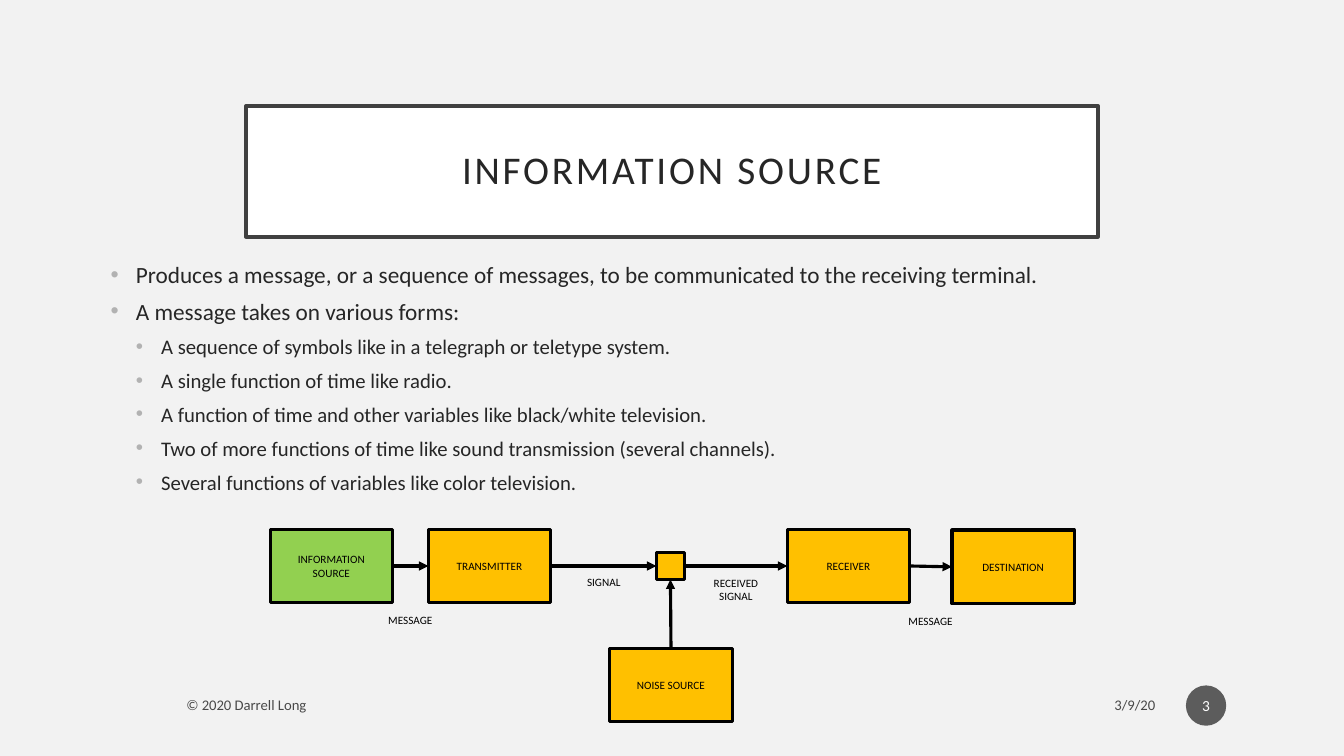
from dataclasses import dataclass

from lxml import etree
from pptx import Presentation
from pptx.dml.color import RGBColor
from pptx.enum import shapes, text
from pptx.oxml import ns
from pptx.util import Pt


@dataclass(frozen=True)
class Theme:
    font: str = "Calibri"
    back: str = "F2F2F2"
    white: str = "FFFFFF"
    black: str = "000000"
    ink: str = "262626"
    frame: str = "404040"
    dot: str = "B2B2B2"
    badge: str = "1D1D1D"
    amber: str = "FFC000"
    green: str = "92D050"
    title: float = 28
    body: tuple[float, float] = (16.6, 14.8)
    label: float = 8
    foot: float = 10.5
    page: float = 11
    line: float = 2.25


@dataclass(frozen=True)
class Box:
    x: float
    y: float
    w: float
    h: float


@dataclass(frozen=True)
class Node:
    box: Box
    words: str
    fill: str


@dataclass(frozen=True)
class Link:
    start: str
    out: int
    end: str
    into: int


T = Theme()
ALIGN, ANCHOR = text.PP_ALIGN, text.MSO_ANCHOR
KIND = shapes.MSO_SHAPE
TOP, LEFT, RIGHT, BOTTOM = 0, 1, 3, 2

BODY = [
    (0, "Produces a message, or a sequence of messages, to be communicated to the receiving terminal."),
    (0, "A message takes on various forms:"),
    (1, "A sequence of symbols like in a telegraph or teletype system."),
    (1, "A single function of time like radio."),
    (1, "A function of time and other variables like black/white television."),
    (1, "Two of more functions of time like sound transmission (several channels)."),
    (1, "Several functions of variables like color television."),
]

ROW, WIDE, HIGH = 378, 87.4, 52.6
NODES = {
    "source": Node(Box(193, ROW, WIDE, HIGH), "INFORMATION\nSOURCE", T.green),
    "sender": Node(Box(306, ROW, WIDE, HIGH), "TRANSMITTER", T.amber),
    "taker": Node(Box(562.4, ROW, WIDE, HIGH), "RECEIVER", T.amber),
    "goal": Node(Box(680, ROW + 0.6, WIDE, HIGH), "DESTINATION", T.amber),
    "noise": Node(Box(435.6, 463, WIDE, HIGH), "NOISE SOURCE", T.amber),
    "joint": Node(Box(468.8, 394.6, 20.2, 19.4), "", T.amber),
}
LINKS = [
    Link("source", RIGHT, "sender", LEFT),
    Link("sender", RIGHT, "joint", LEFT),
    Link("joint", RIGHT, "taker", LEFT),
    Link("taker", RIGHT, "goal", LEFT),
    Link("noise", TOP, "joint", BOTTOM),
]
LABELS = [
    (Box(261.4, 434.9, 63.4, 19.4), "MESSAGE"),
    (Box(633, 435.6, 63.4, 19.4), "MESSAGE"),
    (Box(399.6, 407.2, 63.4, 19.4), "SIGNAL"),
    (Box(494, 408, 63.4, 31), "RECEIVED\nSIGNAL"),
]


def rgb(code: str) -> RGBColor:
    return RGBColor.from_string(code)


def place(box: Box) -> tuple:
    return Pt(box.x), Pt(box.y), Pt(box.w), Pt(box.h)


def paint(fill, code: str, alpha: int = 100) -> None:
    """Fill with a solid colour; alpha is opacity in percent."""
    fill.solid()
    fill.fore_color.rgb = rgb(code)
    if alpha < 100:
        clr = fill._xPr.find(".//" + ns.qn("a:srgbClr"))
        etree.SubElement(clr, ns.qn("a:alpha"), val=str(alpha * 1000))


def write(frame, words: str, *, size: float, color: str, alpha: int = 100,
          align=ALIGN.CENTER, anchor=ANCHOR.MIDDLE, pad: tuple = (7.2, 3.6),
          lead: float = 1, track: float = 0) -> None:
    """Set one paragraph per line; pad is the side and the end inset."""
    frame.word_wrap = True
    frame.vertical_anchor = anchor
    frame.margin_left = frame.margin_right = Pt(pad[0])
    frame.margin_top = frame.margin_bottom = Pt(pad[1])
    for i, line in enumerate(words.split("\n")):
        para = frame.add_paragraph() if i else frame.paragraphs[0]
        para.alignment = align
        para.line_spacing = lead
        run = para.add_run()
        run.text = line
        run.font.name = T.font
        run.font.size = Pt(size)
        paint(run.font.fill, color, alpha)
        if track:
            run.font._element.set("spc", str(round(track * 100)))


def draw(slide, kind, box: Box, fill: str, *, alpha: int = 100,
         line: str = "", width: float = T.line):
    shape = slide.shapes.add_shape(kind, *place(box))
    shape.shadow.inherit = False
    paint(shape.fill, fill, alpha)
    if line:
        paint(shape.line.fill, line)
        shape.line.width = Pt(width)
    else:
        shape.line.fill.background()
    return shape


def note(slide, box: Box, words: str, **style) -> None:
    write(slide.shapes.add_textbox(*place(box)).text_frame, words, **style)


def bullet(para, level: int) -> None:
    props = para._p.get_or_add_pPr()
    props.set("marL", str(Pt(18 * (level + 1))))
    props.set("indent", str(Pt(-18)))
    tint = etree.SubElement(props, ns.qn("a:buClr"))
    etree.SubElement(tint, ns.qn("a:srgbClr"), val=T.dot)
    etree.SubElement(props, ns.qn("a:buFont"), typeface="Arial")
    etree.SubElement(props, ns.qn("a:buChar"), char="•")


def outline(slide, box: Box) -> None:
    frame = slide.shapes.add_textbox(*place(box)).text_frame
    frame.word_wrap = True
    for i, (level, words) in enumerate(BODY):
        para = frame.add_paragraph() if i else frame.paragraphs[0]
        para.level = level
        bullet(para, level)
        para.line_spacing = 0.8
        para.space_before = Pt(10 if i else 0)
        run = para.add_run()
        run.text = words
        run.font.name = T.font
        run.font.size = Pt(T.body[level])
        run.font.color.rgb = rgb(T.ink)


def join(slide, start, out: int, end, into: int) -> None:
    arrow = slide.shapes.add_connector(shapes.MSO_CONNECTOR.STRAIGHT, 0, 0, 0, 0)
    arrow.begin_connect(start, out)
    arrow.end_connect(end, into)
    paint(arrow.line.fill, T.black)
    arrow.line.width = Pt(T.line)
    etree.SubElement(arrow.line._get_or_add_ln(), ns.qn("a:tailEnd"), type="triangle")
    etree.SubElement(arrow._element.spPr, ns.qn("a:effectLst"))


def diagram(slide) -> None:
    made = {}
    for name, node in NODES.items():
        made[name] = draw(slide, KIND.RECTANGLE, node.box, node.fill, line=T.black)
        if node.words:
            write(made[name].text_frame, node.words, size=T.label, color=T.black)
    for link in LINKS:
        join(slide, made[link.start], link.out, made[link.end], link.into)
    for box, words in LABELS:
        note(slide, box, words, size=T.label, color=T.black, anchor=ANCHOR.TOP)


def main() -> None:
    deck = Presentation()
    deck.slide_width, deck.slide_height = Pt(960), Pt(540)
    slide = deck.slides.add_slide(deck.slide_layouts[6])
    paint(slide.background.fill, T.back)
    title = draw(slide, KIND.RECTANGLE, Box(175.7, 75.6, 608.6, 93.6), T.white,
                 line=T.frame, width=2.5)
    write(title.text_frame, "INFORMATION SOURCE", size=T.title, color=T.ink,
          pad=(14.4, 14.4), lead=0.9, track=2)
    outline(slide, Box(72, 186.5, 816, 174))
    diagram(slide)
    foot = dict(size=T.foot, color=T.black, alpha=70)
    note(slide, Box(615.6, 491, 216.7, 25.2), "3/9/20", align=ALIGN.RIGHT, **foot)
    note(slide, Box(126, 491, 464.4, 25.2), "© 2020 Darrell Long", align=ALIGN.LEFT, **foot)
    badge = draw(slide, KIND.OVAL, Box(847.1, 489.6, 28.8, 28.8), T.badge, alpha=70)
    write(badge.text_frame, "3", size=T.page, color=T.white, pad=(1.4, 3.6))
    deck.save("out.pptx")


if __name__ == "__main__":
    main()
